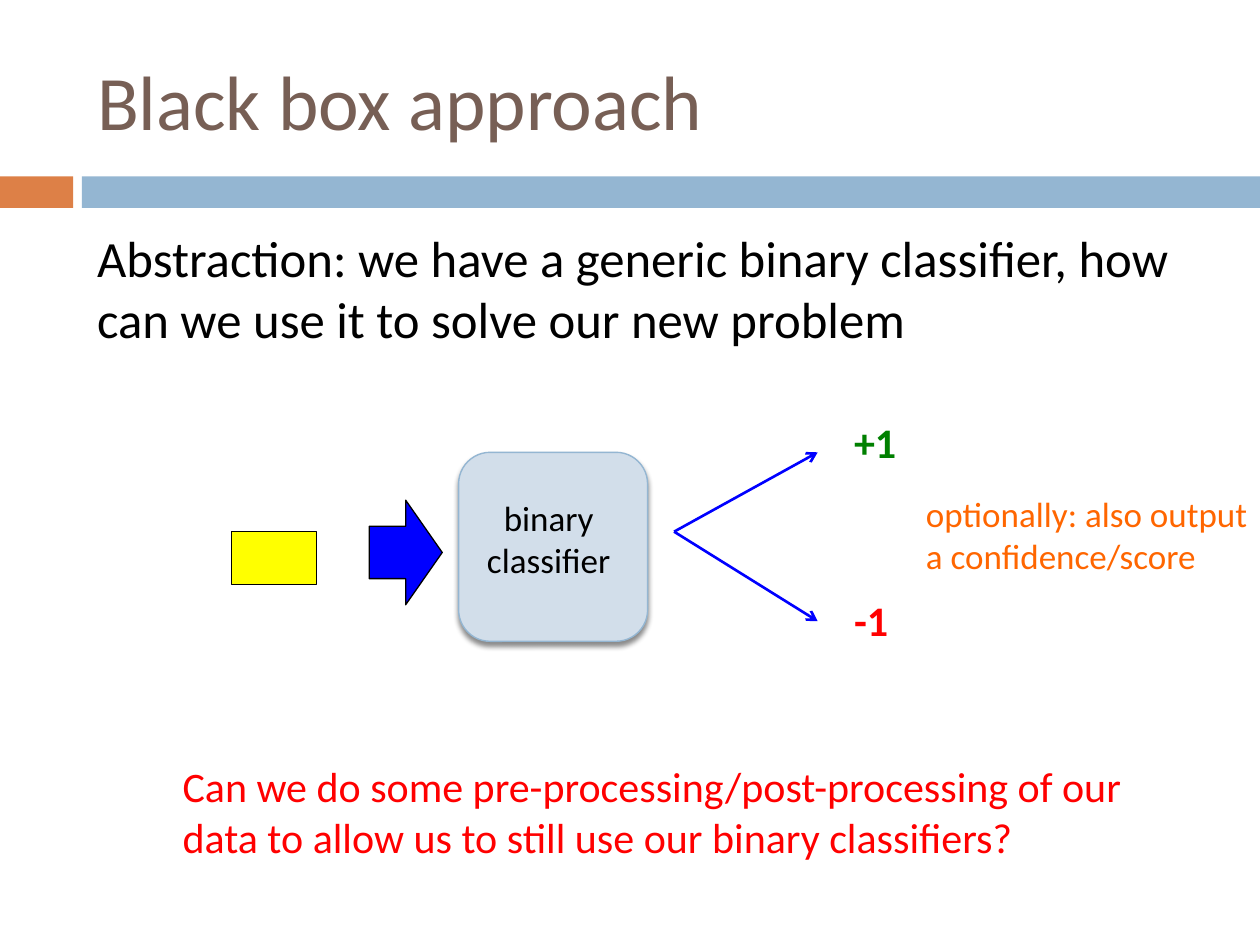
from dataclasses import dataclass

from lxml.etree import SubElement
from pptx import Presentation
from pptx.dml.color import RGBColor
from pptx.enum.shapes import MSO_CONNECTOR as CONN, MSO_SHAPE as SHAPE
from pptx.enum.text import MSO_ANCHOR as ANCHOR, MSO_AUTO_SIZE as FIT, PP_ALIGN as ALIGN
from pptx.oxml.ns import qn
from pptx.util import Inches, Pt


@dataclass(frozen=True)
class Theme:
    font: str = "Calibri"
    brown: str = "775F55"
    orange: str = "DD8047"
    steel: str = "94B6D2"
    pale: str = "D2DEEA"
    black: str = "000000"
    yellow: str = "FFFF00"
    blue: str = "0000FF"
    green: str = "008000"
    red: str = "FF0000"
    note: str = "FF6600"
    title: float = 44
    body: float = 29
    large: float = 24
    small: float = 20


class Deck:
    def __init__(self, prs, theme):
        self.theme = theme
        self.s = prs.slides.add_slide(prs.slide_layouts[1])

    def add_text(self, tf, text, size, color, bold=False, align=ALIGN.LEFT):
        p = tf.paragraphs[0]
        p.alignment = align
        r = p.add_run()
        r.text = text
        r.font.name = self.theme.font
        r.font.size = Pt(size)
        r.font.bold = bold
        r.font.color.rgb = RGBColor.from_string(color)
        return p

    def place(self, sp, box):
        sp.left, sp.top, sp.width, sp.height = map(Inches, box)
        sp.text_frame.auto_size = FIT.NONE
        sp.text_frame.word_wrap = True

    def title(self, text, box):
        sp = self.s.shapes.title
        self.place(sp, box)
        sp.text_frame.vertical_anchor = ANCHOR.MIDDLE
        self.add_text(sp.text_frame, text, self.theme.title, self.theme.brown)

    def body(self, text, box):
        sp = self.s.placeholders[1]
        self.place(sp, box)
        p = self.add_text(sp.text_frame, text, self.theme.body, self.theme.black)
        p.space_before = Pt(7)
        pPr = p._p.get_or_add_pPr()
        pPr.set("marL", "0")
        pPr.set("indent", "0")
        SubElement(pPr, qn("a:buNone"))

    def shape(self, kind, box, fill, line=None, width=0.75):
        sp = self.s.shapes.add_shape(kind, *map(Inches, box))
        sp.shadow.inherit = False
        sp.fill.solid()
        sp.fill.fore_color.rgb = RGBColor.from_string(fill)
        if line:
            sp.line.color.rgb = RGBColor.from_string(line)
            sp.line.width = Pt(width)
        else:
            sp.line.fill.background()
        return sp

    def drop_shadow(self, sp, blur, dist, alpha):
        effects = sp._element.spPr.find(qn("a:effectLst"))
        shadow = SubElement(effects, qn("a:outerShdw"), blurRad=str(Pt(blur)),
                            dist=str(Pt(dist)), dir="5400000", rotWithShape="0")
        color = SubElement(shadow, qn("a:srgbClr"), val=self.theme.black)
        SubElement(color, qn("a:alpha"), val=str(alpha * 1000))

    def text(self, text, box, size, color, bold=False, align=ALIGN.LEFT, wrap=True):
        sp = self.s.shapes.add_textbox(*map(Inches, box))
        sp.text_frame.word_wrap = wrap
        sp.text_frame.auto_size = FIT.SHAPE_TO_FIT_TEXT
        self.add_text(sp.text_frame, text, size, color, bold, align)
        return sp

    def arrow(self, start, end, color, width):
        c = self.s.shapes.add_connector(CONN.STRAIGHT, *map(Inches, start + end))
        c.line.color.rgb = RGBColor.from_string(color)
        c.line.width = Pt(width)
        SubElement(c.line._get_or_add_ln(), qn("a:tailEnd"), type="arrow")
        SubElement(c._element.spPr, qn("a:effectLst"))

    def group(self, *shapes):
        self.s.shapes.add_group_shape(shapes)


def main():
    prs = Presentation()
    prs.slide_width, prs.slide_height = Inches(10), Inches(7.5)
    t = Theme()
    d = Deck(prs, t)

    d.shape(SHAPE.RECTANGLE, (0, 1.4, 0.58, 0.25), t.orange)
    d.shape(SHAPE.RECTANGLE, (0.65, 1.4, 9.35, 0.25), t.steel)
    d.title("Black box approach", (0.67, 0.25, 8.92, 1.08))
    d.body("Abstraction: we have a generic binary classifier, how can we use it "
           "to solve our new problem", (0.67, 1.75, 8.92, 1.23))

    d.shape(SHAPE.RECTANGLE, (1.84, 4.22, 0.67, 0.42), t.yellow, t.black)
    d.shape(SHAPE.RIGHT_ARROW, (2.93, 3.97, 0.58, 0.83), t.blue, t.black)
    box = d.shape(SHAPE.ROUNDED_RECTANGLE, (3.64, 3.59, 1.5, 1.5), t.pale, t.steel, 0.79)
    d.drop_shadow(box, blur=3, dist=2.4, alpha=45)
    label = d.text("binary classifier", (3.57, 3.89, 1.57, 0.77), t.small, t.black,
                   align=ALIGN.CENTER)
    d.group(box, label)

    outputs = (("+1", 3.59, 3.26, 0.61, t.green), ("-1", 4.93, 4.67, 0.49, t.red))
    for text, tip, top, width, color in outputs:
        d.arrow((5.35, 4.22), (6.49, tip), t.blue, 1.5)
        d.text(text, (6.68, top, width, 0.5), t.large, color, bold=True, wrap=False)

    d.text("optionally: also output a confidence/score", (7.25, 3.86, 2.85, 0.77),
           t.small, t.note)
    d.text("Can we do some pre-processing/post-processing of our data to allow us "
           "to still use our binary classifiers?", (1.35, 5.99, 7.99, 0.91),
           t.large, t.red)
    prs.save("out.pptx")


if __name__ == "__main__":
    main()
